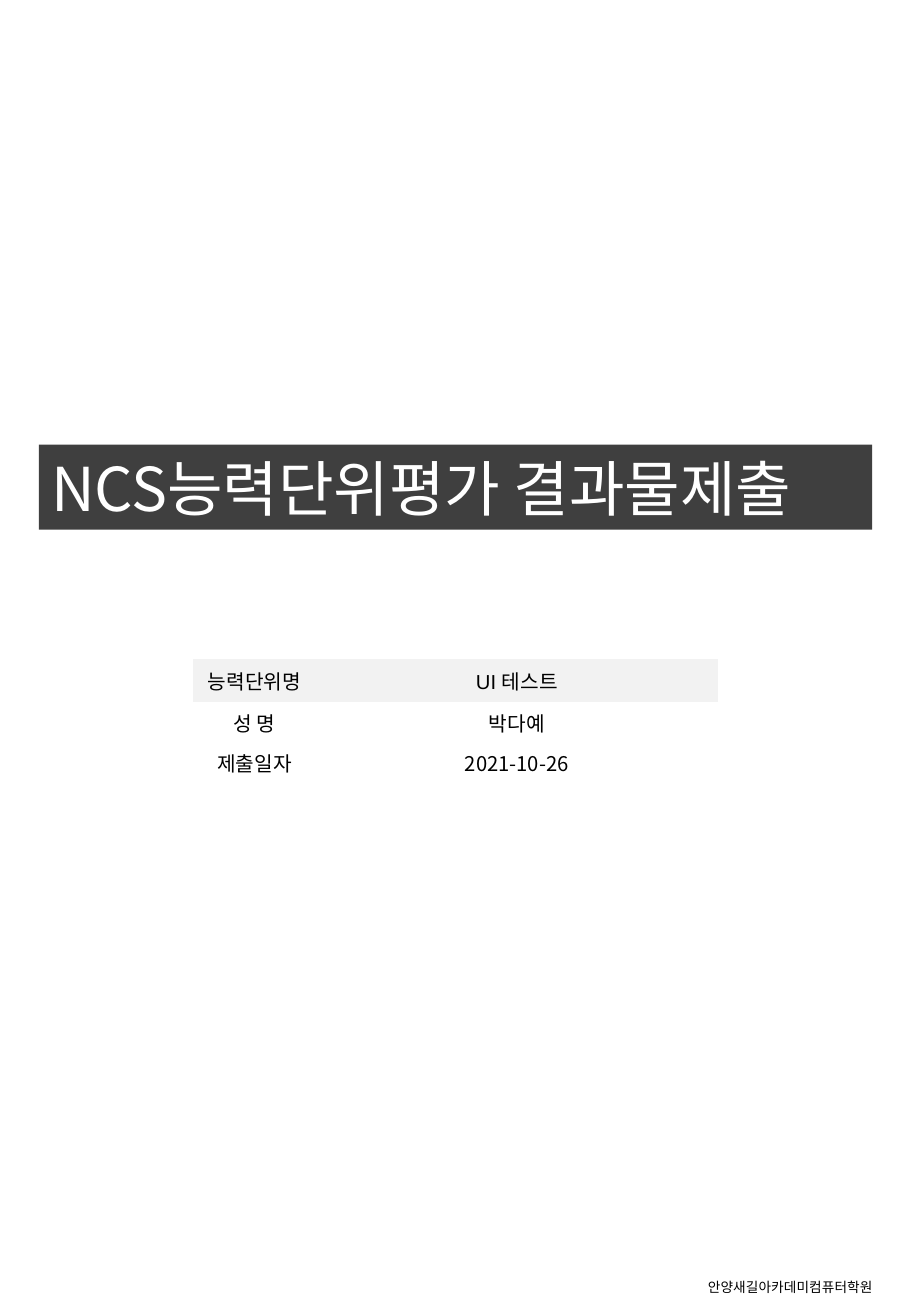
"""Build the cover sheet of an evaluation submission."""
from dataclasses import dataclass

from lxml.etree import SubElement
from pptx import Presentation
from pptx.dml.color import RGBColor
from pptx.enum.text import MSO_ANCHOR, MSO_AUTO_SIZE, PP_ALIGN
from pptx.oxml.ns import qn
from pptx.util import Inches, Pt

COLORS = {"band": "3F3F3F", "header": "F2F2F2", "ink": "000000", "paper": "FFFFFF"}
SANS, LATIN = "Noto Sans CJK KR", "Arial"
SLIDE_WIDTH, SLIDE_HEIGHT = 7.5, 10.83
PLAIN_TABLE_STYLE = "{2D5ABB26-0587-4C30-8999-92F81FD0307C}"


@dataclass(frozen=True)
class Box:
    """An area in inches on the slide."""

    left: float
    top: float
    width: float
    height: float

    def lengths(self) -> tuple:
        """Return the position and size as slide lengths."""
        return tuple(Inches(n) for n in (self.left, self.top, self.width, self.height))


@dataclass(frozen=True)
class Detail:
    """One labelled row of the submission table."""

    label: str
    value: str
    height: float
    font: str = SANS
    fill: str = ""


MARGIN = 0.32
TITLE_BAND = Box(MARGIN, 3.66, SLIDE_WIDTH - 2 * MARGIN, 0.7)
ACADEMY_BOX = Box(5.73, 10.47, 1.68, 0.24)
COLUMNS = (1.01, 3.31)
DETAILS = (
    Detail("능력단위명", "UI 테스트", 0.36, LATIN, "header"),
    Detail("성 명", "박다예", 0.33),
    Detail("제출일자", "2021-10-26", 0.33),
)
TABLE_BOX = Box((SLIDE_WIDTH - sum(COLUMNS)) / 2, 5.42, sum(COLUMNS),
                sum(detail.height for detail in DETAILS))


def write_text(frame, text: str, *, size: float, color: str = "ink",
               font: str = SANS, align=PP_ALIGN.LEFT) -> None:
    """Write one formatted paragraph into a text frame."""
    paragraph = frame.paragraphs[0]
    paragraph.alignment = align
    run = paragraph.add_run()
    run.text = text
    run.font.size = Pt(size)
    run.font.bold = False
    run.font.name = font
    run.font.color.rgb = RGBColor.from_string(COLORS[color])
    SubElement(run.font._element, qn("a:ea")).set("typeface", SANS)


def prepare_frame(shape):
    """Fix the frame's size, centre it vertically and return it."""
    frame = shape.text_frame
    frame.auto_size = MSO_AUTO_SIZE.NONE
    frame.word_wrap = True
    frame.vertical_anchor = MSO_ANCHOR.MIDDLE
    return frame


def add_title(slide, text: str) -> None:
    """Turn the title placeholder into the dark band."""
    title = slide.shapes.title
    title.left, title.top, title.width, title.height = TITLE_BAND.lengths()
    title.fill.solid()
    title.fill.fore_color.rgb = RGBColor.from_string(COLORS["band"])
    write_text(prepare_frame(title), text, size=35.8, color="paper")


def add_details(slide) -> None:
    """Add the table of submission details."""
    frame = slide.shapes.add_table(len(DETAILS), len(COLUMNS), *TABLE_BOX.lengths())
    table = frame.table
    table.first_row = table.horz_banding = False
    table._tbl.tblPr.find(qn("a:tableStyleId")).text = PLAIN_TABLE_STYLE
    for column, width in zip(table.columns, COLUMNS):
        column.width = Inches(width)
    for row, detail in zip(table.rows, DETAILS):
        row.height = Inches(detail.height)
        for cell, text in zip(row.cells, (detail.label, detail.value)):
            cell.vertical_anchor = MSO_ANCHOR.MIDDLE
            cell.margin_left = cell.margin_right = Inches(0.08)
            cell.margin_top = cell.margin_bottom = Inches(0.04)
            if detail.fill:
                cell.fill.solid()
                cell.fill.fore_color.rgb = RGBColor.from_string(COLORS[detail.fill])
            else:
                cell.fill.background()
            write_text(cell.text_frame, text, size=12, font=detail.font,
                       align=PP_ALIGN.CENTER)


def add_academy(slide, text: str) -> None:
    """Add the academy's name at the foot of the page."""
    textbox = slide.shapes.add_textbox(*ACADEMY_BOX.lengths())
    write_text(prepare_frame(textbox), text, size=8.1)


def main() -> None:
    """Create and save the presentation."""
    presentation = Presentation()
    presentation.slide_width = Inches(SLIDE_WIDTH)
    presentation.slide_height = Inches(SLIDE_HEIGHT)
    slide = presentation.slides.add_slide(presentation.slide_layouts[5])
    add_title(slide, "NCS능력단위평가 결과물제출")
    add_details(slide)
    add_academy(slide, "안양새길아카데미컴퓨터학원")
    presentation.save("out.pptx")


main()
